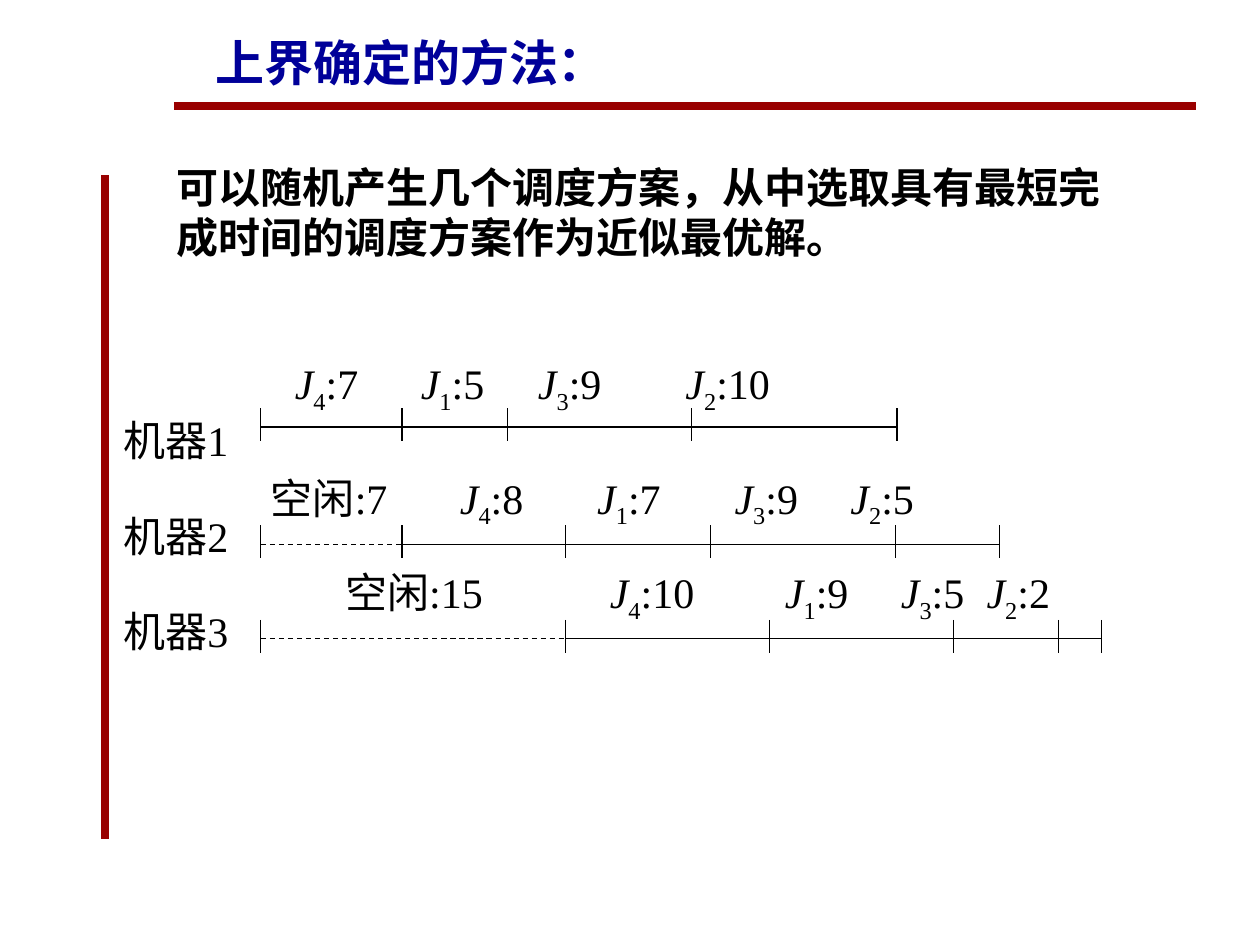
from pptx import Presentation
from pptx.dml.color import RGBColor
from pptx.enum.dml import MSO_LINE
from pptx.enum.shapes import MSO_CONNECTOR, MSO_SHAPE
from pptx.enum.text import MSO_ANCHOR, MSO_AUTO_SIZE, PP_ALIGN
from pptx.oxml.ns import qn
from pptx.util import Inches, Pt
from lxml.etree import SubElement

RED = RGBColor(0x99, 0x00, 0x00)
NAVY = RGBColor(0x00, 0x00, 0x99)
BLACK = RGBColor(0x00, 0x00, 0x00)
WHITE = RGBColor(0xFF, 0xFF, 0xFF)

TICK_HEIGHT = 0.26
TICK_RISE = 0.15  # part of a tick above its time line
TIME_ZERO = 2.07

# Each machine: label top, time line height, then its tasks as
# (job number or None when idle, duration, label left, end of the task)
SCHEDULES = [
    (2.88, 3.39, [("4", 7, 2.34, 3.19), ("1", 5, 3.34, 4.03),
                  ("3", 9, 4.27, 5.49), ("2", 10, 5.44, 7.12)]),
    (3.79, 4.32, [(None, 7, 2.15, 3.19), ("4", 8, 3.65, 4.49),
                  ("1", 7, 4.74, 5.64), ("3", 9, 5.83, 7.11),
                  ("2", 5, 6.75, 7.93)]),
    (4.54, 5.07, [(None, 15, 2.74, 4.49), ("4", 10, 4.84, 6.11),
                  ("1", 9, 6.23, 7.57), ("3", 5, 7.15, 8.4),
                  ("2", 2, 7.83, 8.74)]),
]


def add_line(slide, x1, y1, x2, y2, color=BLACK, width=0.75, dashed=False):
    line = slide.shapes.add_connector(
        MSO_CONNECTOR.STRAIGHT, Inches(x1), Inches(y1), Inches(x2), Inches(y2))
    line.line.color.rgb = color
    line.line.width = Pt(width)
    if dashed:
        line.line.dash_style = MSO_LINE.DASH
    SubElement(line._element.spPr, qn("a:effectLst"))


def add_run(paragraph, text, font="Times New Roman", size=24, color=BLACK,
            bold=False, italic=False, subscript=False):
    run = paragraph.add_run()
    run.text = text
    run.font.name = font
    run.font.size = Pt(size)
    run.font.color.rgb = color
    run.font.bold = bold
    run.font.italic = italic
    if subscript:
        run.font._element.set("baseline", "-25000")


def set_margins(frame, left, top, right, bottom):
    frame.margin_left, frame.margin_top = Inches(left), Inches(top)
    frame.margin_right, frame.margin_bottom = Inches(right), Inches(bottom)
    frame.word_wrap = True
    frame.auto_size = MSO_AUTO_SIZE.NONE
    frame.vertical_anchor = MSO_ANCHOR.TOP


def fill_placeholder(placeholder, left, top, width, height, text, size, color):
    placeholder.left, placeholder.top = Inches(left), Inches(top)
    placeholder.width, placeholder.height = Inches(width), Inches(height)
    frame = placeholder.text_frame
    set_margins(frame, 0.1, 0.05, 0.1, 0.05)
    paragraph = frame.paragraphs[0]
    properties = paragraph._p.get_or_add_pPr()
    properties.set("marL", "0")
    properties.set("indent", "0")
    SubElement(properties, qn("a:buNone"))
    paragraph.alignment = PP_ALIGN.LEFT
    paragraph.space_before = Pt(0)
    add_run(paragraph, text, "Arial", size, color, bold=True)


def add_machine_names(slide, left, top, width, height):
    names = slide.shapes.add_shape(
        MSO_SHAPE.RECTANGLE, Inches(left), Inches(top), Inches(width), Inches(height))
    names.shadow.inherit = False
    names.fill.solid()
    names.fill.fore_color.rgb = WHITE
    names.line.fill.background()
    frame = names.text_frame
    set_margins(frame, 0, 0, 0, 0)
    for number in range(1, len(SCHEDULES) + 1):
        paragraph = frame.paragraphs[0] if number == 1 else frame.add_paragraph()
        paragraph.alignment = PP_ALIGN.JUSTIFY
        paragraph.line_spacing = 1.9
        add_run(paragraph, f"机器{number}")


def add_task_labels(slide, top, tasks):
    inset = 0.02
    start = tasks[0][2]
    box = slide.shapes.add_textbox(
        Inches(start - inset), Inches(top), Inches(6.4), Inches(0.48))
    set_margins(box.text_frame, inset, 0, 0, 0)
    paragraph = box.text_frame.paragraphs[0]

    # One tab stop for each label after the first
    tab_list = SubElement(paragraph._p.get_or_add_pPr(), qn("a:tabLst"))
    for _, _, label_left, _ in tasks[1:]:
        SubElement(tab_list, qn("a:tab"), pos=str(Inches(label_left - start)), algn="l")
    paragraph.alignment = PP_ALIGN.LEFT
    paragraph.line_spacing = 0.8

    for index, (job, duration, _, _) in enumerate(tasks):
        if index:
            add_run(paragraph, "\t")
        if job is None:
            add_run(paragraph, f"空闲:{duration}")
        else:
            add_run(paragraph, "J", italic=True)
            add_run(paragraph, job, subscript=True)
            add_run(paragraph, f":{duration}")


def add_time_line(slide, left, axis, tasks):
    tick_top = axis - TICK_RISE
    ends = [task[3] for task in tasks]
    for x in [left] + ends:
        add_line(slide, x, tick_top, x, tick_top + TICK_HEIGHT)
    for start, (job, _, _, end) in zip([left] + ends, tasks):
        add_line(slide, start, axis, end, axis, dashed=job is None)


def main():
    presentation = Presentation()
    presentation.slide_width, presentation.slide_height = Inches(10), Inches(7.5)
    slide = presentation.slides.add_slide(presentation.slide_layouts[1])

    # Red frame lines
    add_line(slide, 1.38, 0.84, 9.49, 0.84, RED, 4.5)
    add_line(slide, 0.83, 1.39, 0.83, 6.66, RED, 4.5)

    # Title and explanation
    fill_placeholder(slide.shapes.title, 1.61, 0.21, 6.69, 0.57,
                     "上界确定的方法：", 28, NAVY)
    fill_placeholder(slide.placeholders[1], 1.3, 1.23, 7.64, 0.9,
                     "可以随机产生几个调度方案，从中选取具有最短完成时间的调度方案作为近似最优解。",
                     24, BLACK)

    # Schedule of the three machines
    add_machine_names(slide, 0.98, 2.93, 0.99, 2.73)
    for label_top, axis, tasks in SCHEDULES:
        add_task_labels(slide, label_top, tasks)
        add_time_line(slide, TIME_ZERO, axis, tasks)

    presentation.save("out.pptx")


if __name__ == "__main__":
    main()
